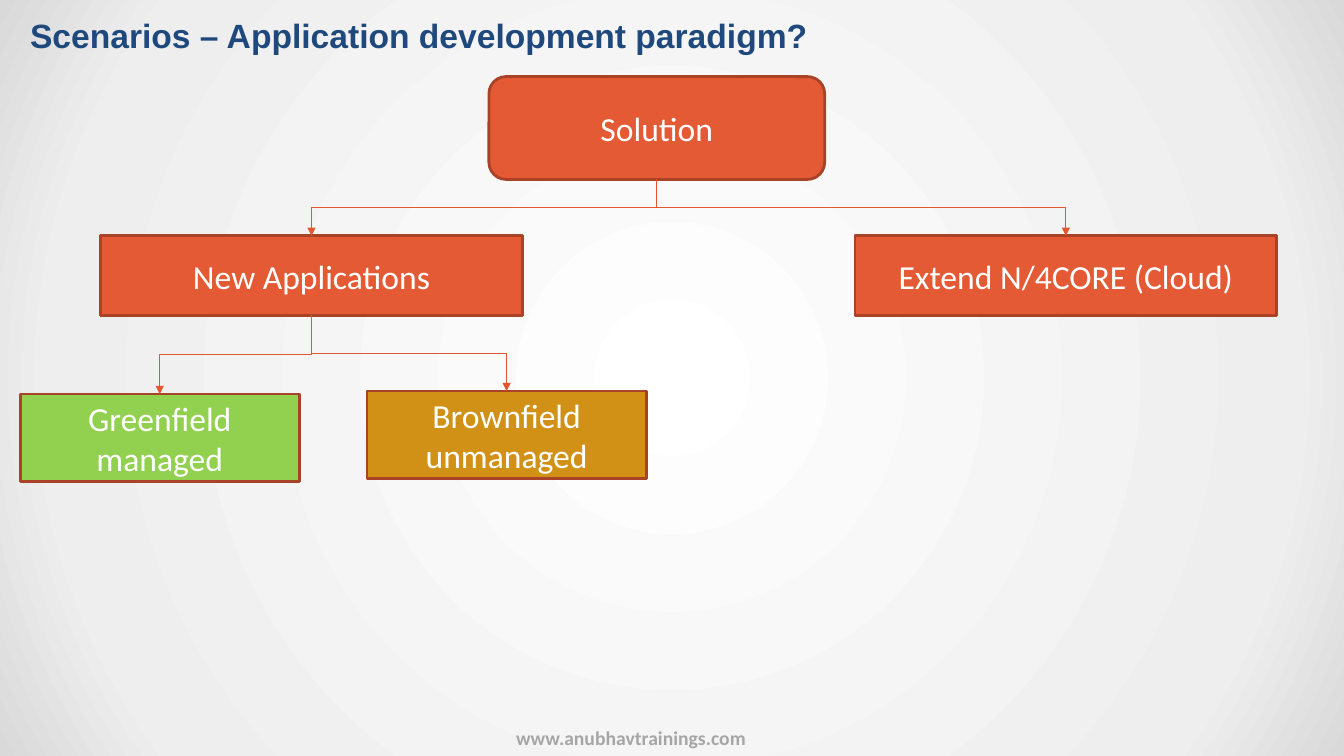
from lxml import etree
from pptx import Presentation
from pptx.dml.color import RGBColor
from pptx.enum.dml import MSO_FILL
from pptx.enum.shapes import MSO_CONNECTOR, MSO_SHAPE
from pptx.enum.text import MSO_ANCHOR, MSO_AUTO_SIZE, PP_ALIGN
from pptx.oxml import parse_xml
from pptx.oxml.ns import nsdecls, qn
from pptx.util import Inches, Pt

ROUNDED, RECTANGLE = MSO_SHAPE.ROUNDED_RECTANGLE, MSO_SHAPE.RECTANGLE
ELBOW = MSO_CONNECTOR.ELBOW
CENTER, LEFT = PP_ALIGN.CENTER, PP_ALIGN.LEFT
MIDDLE = MSO_ANCHOR.MIDDLE
GROW = MSO_AUTO_SIZE.SHAPE_TO_FIT_TEXT
TOP_SITE, BOTTOM_SITE = 0, 2

WIDTH, HEIGHT = Inches(13.33), Inches(7.5)
ORANGE, GREEN, OCHRE = "E35A35", "92D050", "D19116"
BORDER, ARROW = "A84327", "E25630"
BACKGROUND_STOPS = [(0, "FFFFFF"), (81, "EEEEEE"), (100, "D9D9D9")]

# Positions are percent of the slide's width and height; sizes depend on the level.
LEVEL_SIZES = [(24.98, 13.6), (31.36, 10.53), (20.78, 11.6)]
BOXES = {
    # name: (lines, level, left, top, fill, parent)
    "solution": (["Solution"], 0, 36.38, 10.13, ORANGE, None),
    "new": (["New Applications"], 1, 7.5, 31.2, ORANGE, "solution"),
    "extend": (["Extend N/4CORE (Cloud)"], 1, 63.62, 31.2, ORANGE, "solution"),
    "greenfield": (["Greenfield", "managed"], 2, 1.5, 52.13, GREEN, "new"),
    "brownfield": (["Brownfield", "unmanaged"], 2, 27.31, 51.73, OCHRE, "new"),
}
BOX_FONT = {"name": "Calibri", "size": Pt(24), "bold": False}
LABELS = [
    # text, (left, top, width, height), wrap, colour, font
    ("www.anubhavtrainings.com", (37.66, 95.33, 28.66, 4.53), True, "A6A6A6",
     {"name": "Calibri", "size": Pt(14), "bold": True}),
    ("Scenarios – Application development paradigm?", (1.5, 1.33, 59.86, 6.67), False,
     "1F497D", {"name": "Arial", "size": Pt(24), "bold": True}),
]


def color(value):
    return RGBColor.from_string(value)


def place(left, top, width, height):
    """Turn percent shares of the slide into lengths."""
    return [int(share * side / 100)
            for share, side in zip((left, top, width, height), (WIDTH, HEIGHT) * 2)]


def write(shape, lines, font, text_color, alignment):
    frame = shape.text_frame
    for index, line in enumerate(lines):
        paragraph = frame.add_paragraph() if index else frame.paragraphs[0]
        paragraph.alignment = alignment
        run = paragraph.add_run()
        run.text = line
        for name, value in font.items():
            setattr(run.font, name, value)
        run.font.color.rgb = color(text_color)


def paint_background(slide):
    """Fill the background with a gradient that spreads from the centre."""
    fill = slide.background.fill
    fill.gradient()
    gradient = slide.background._cSld.find(".//" + qn("a:gradFill"))
    stops = "".join(f'<a:gs pos="{position * 1000}"><a:srgbClr val="{value}"/></a:gs>'
                    for position, value in BACKGROUND_STOPS)
    radial = parse_xml(
        f'<a:gradFill {nsdecls("a")} rotWithShape="1"><a:gsLst>{stops}</a:gsLst>'
        '<a:path path="circle"><a:fillToRect l="50000" t="50000" r="50000" b="50000"/>'
        '</a:path></a:gradFill>')
    gradient.getparent().replace(gradient, radial)


def add_label(slide, text, area, wrap, text_color, font):
    label = slide.shapes.add_textbox(*place(*area))
    label.text_frame.word_wrap = wrap
    label.text_frame.auto_size = GROW
    write(label, [text], font, text_color, LEFT)


def add_box(slide, lines, level, left, top, fill):
    kind = RECTANGLE if level else ROUNDED
    box = slide.shapes.add_shape(kind, *place(left, top, *LEVEL_SIZES[level]))
    box.shadow.inherit = False
    box.fill.solid()
    box.fill.fore_color.rgb = color(fill)
    box.line.color.rgb = color(BORDER)
    box.line.width = Pt(2)
    box.text_frame.word_wrap = True
    box.text_frame.vertical_anchor = MIDDLE
    write(box, lines, BOX_FONT, "FFFFFF", CENTER)
    return box


def add_branch(slide, parent, child):
    """Join parent to child with an elbow arrow that leaves downwards."""
    start_x, start_y = parent.left + parent.width // 2, parent.top + parent.height
    end_x, end_y = child.left + child.width // 2, child.top
    branch = slide.shapes.add_connector(ELBOW, start_x, start_y, end_x, end_y)
    branch.begin_connect(parent, BOTTOM_SITE)
    branch.end_connect(child, TOP_SITE)

    # The elbow runs sideways by default, so it is turned a quarter about its centre.
    drop, reach = end_y - start_y, abs(end_x - start_x)
    branch.left = (start_x + end_x - drop) // 2
    branch.top = (start_y + end_y - reach) // 2
    branch.width, branch.height = drop, reach
    to_right = end_x > start_x
    properties = branch._element.spPr
    transform = properties.find(qn("a:xfrm"))
    transform.set("rot", str((270 if to_right else 90) * 60000))
    transform.set("flipH", "1" if to_right else "0")

    branch.line.color.rgb = color(ARROW)
    branch.line.width = Pt(0.75)
    etree.SubElement(properties.find(qn("a:ln")), qn("a:tailEnd"), type="triangle")
    etree.SubElement(properties, qn("a:effectLst"))


def main():
    presentation = Presentation()
    presentation.slide_width, presentation.slide_height = WIDTH, HEIGHT
    slide = presentation.slides.add_slide(presentation.slide_layouts[6])
    paint_background(slide)
    for label in LABELS:
        add_label(slide, *label)
    boxes = {}
    for name, (*content, parent) in BOXES.items():
        boxes[name] = add_box(slide, *content)
        if parent:
            add_branch(slide, boxes[parent], boxes[name])
    presentation.save("out.pptx")


if __name__ == "__main__":
    main()
